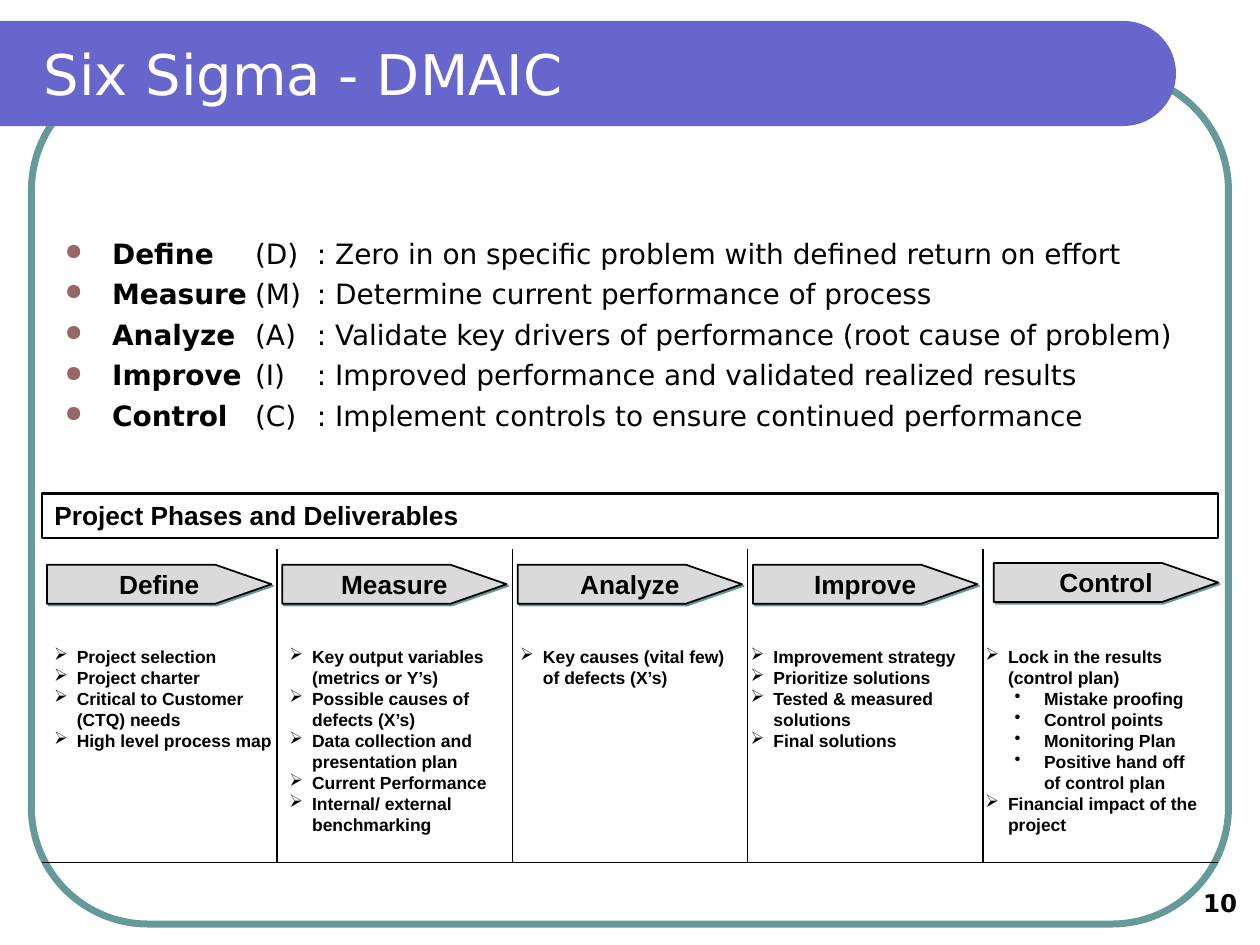
"""Build the Six Sigma DMAIC slide with its phases and deliverables."""
from math import cos, pi, sin

from lxml import etree
from pptx import Presentation
from pptx.dml.color import RGBColor
from pptx.enum.shapes import MSO_CONNECTOR, MSO_SHAPE
from pptx.enum.text import MSO_ANCHOR, PP_ALIGN
from pptx.oxml.ns import qn
from pptx.util import Pt

LINE = MSO_CONNECTOR.STRAIGHT
RECT, ROUND = MSO_SHAPE.RECTANGLE, MSO_SHAPE.ROUNDED_RECTANGLE
TOP, MID, LOW = MSO_ANCHOR.TOP, MSO_ANCHOR.MIDDLE, MSO_ANCHOR.BOTTOM
LEFT, MIDST, RIGHT = PP_ALIGN.LEFT, PP_ALIGN.CENTER, PP_ALIGN.RIGHT

COLORS = {"band": "6666CC", "teal": "669999", "dot": "996666",
          "grey": "DADADA", "ink": "000000", "white": "FFFFFF"}
SANS, ARIAL = "DejaVu Sans", "Arial"

TITLE = "Six Sigma - DMAIC"
HEAD = "Project Phases and Deliverables"
NUMBER = "10"
STEPS = [
    ("Define", "Zero in on specific problem with defined return on effort"),
    ("Measure", "Determine current performance of process"),
    ("Analyze", "Validate key drivers of performance (root cause of problem)"),
    ("Improve", "Improved performance and validated realized results"),
    ("Control", "Implement controls to ensure continued performance"),
]
PHASES = [
    ("Define", 26.9, 322.7, 23.8, 114, [
        (0, "Project selection"), (0, "Project charter"),
        (0, "Critical to Customer (CTQ) needs"),
        (0, "High level process map")]),
    ("Measure", 161.3, 322.7, 158.3, 151, [
        (0, "Key output variables (metrics or Y’s)"),
        (0, "Possible causes of defects (X’s)"),
        (0, "Data collection and presentation plan"),
        (0, "Current Performance"),
        (0, "Internal/ external benchmarking")]),
    ("Analyze", 295.8, 322.7, 290.2, 55, [
        (0, "Key causes (vital few) of defects (X’s)")]),
    ("Improve", 430.3, 322.7, 421.9, 127, [
        (0, "Improvement strategy"), (0, "Prioritize solutions"),
        (0, "Tested & measured solutions"), (0, "Final solutions")]),
    ("Control", 567.9, 321.7, 556, 139, [
        (0, "Lock in the results (control plan)"),
        (1, "Mistake proofing"), (1, "Control points"),
        (1, "Monitoring Plan"), (1, "Positive hand off of control plan"),
        (0, "Financial impact of the project")]),
]
MARKS = [("➢", 13, -13), ("•", 33.6, -16.8)]

prs = Presentation()
prs.slide_width, prs.slide_height = Pt(720), Pt(540)
slide = prs.slides.add_slide(prs.slide_layouts[6])
shapes = slide.shapes


def color(name):
    return RGBColor.from_string(COLORS[name])


def node(root, tag, **attrs):
    return etree.SubElement(root, qn("a:" + tag), attrs)


def paint(shape, fill=None, line=None, width=1):
    shape.shadow.inherit = False
    if fill:
        shape.fill.solid()
        shape.fill.fore_color.rgb = color(fill)
    else:
        shape.fill.background()
    if line:
        shape.line.color.rgb = color(line)
        shape.line.width = Pt(width)
    else:
        shape.line.fill.background()


def style(run, size, face, ink="ink", bold=True):
    font = run.font
    font.size, font.name, font.bold = Pt(size), face, bold
    font.color.rgb = color(ink)


def write(shape, text, size, face, anchor=TOP, align=LEFT, ink="ink",
          bold=True, wrap=True):
    frame = shape.text_frame
    frame.text = text
    frame.word_wrap, frame.vertical_anchor = wrap, anchor
    for para in frame.paragraphs:
        para.alignment = align
        for run in para.runs:
            style(run, size, face, ink, bold)
    return frame


def box(x, y, w, h):
    return shapes.add_textbox(Pt(x), Pt(y), Pt(w), Pt(h))


def bullet(para, mark, margin, indent, ink="ink", scale=100, tabs=()):
    props = para._p.get_or_add_pPr()
    props.set("marL", str(Pt(margin)))
    props.set("indent", str(Pt(indent)))
    node(node(props, "buClr"), "srgbClr", val=COLORS[ink])
    node(props, "buSzPct", val=str(scale * 1000))
    node(props, "buChar", char=mark)
    if tabs:
        stops = node(props, "tabLst")
        for tab in tabs:
            node(stops, "tab", pos=str(Pt(tab)), algn="l")


def outline(points):
    spots = [(Pt(x), Pt(y)) for x, y in points]
    build = shapes.build_freeform(*spots[0])
    build.add_line_segments(spots[1:], close=True)
    return build.convert_to_shape()


def rule(x1, y1, x2, y2, width):
    line = shapes.add_connector(LINE, Pt(x1), Pt(y1), Pt(x2), Pt(y2))
    line.line.color.rgb = color("ink")
    line.line.width = Pt(width)
    node(line._element.spPr, "effectLst")


def arrow(name, x, y):
    w, h, neck = 128.2, 22.3, 96.1
    shape = outline([(x, y), (x + neck, y), (x + w, y + h / 2),
                     (x + neck, y + h), (x, y + h)])
    paint(shape, "grey", "ink")
    glow = node(shape._element.spPr.find(qn("a:effectLst")), "outerShdw",
                dist=str(Pt(1.4)), dir="2700000", algn="ctr", rotWithShape="0")
    node(glow, "srgbClr", val=COLORS["teal"])
    write(shape, name, 15, ARIAL, MID, MIDST, wrap=False)


def listing(items, x, h):
    frame = write(box(x, 353.5, 139.7, h), "\n".join(t for _, t in items),
                  10, ARIAL)
    frame.margin_top = Pt(15.6)
    for para, (level, _) in zip(frame.paragraphs, items):
        para.level = level
        bullet(para, *MARKS[level])


def steps():
    frame = box(30, 84, 666, 402).text_frame
    frame.word_wrap, frame.margin_top = True, Pt(51)
    for i, (name, text) in enumerate(STEPS):
        para = frame.add_paragraph() if i else frame.paragraphs[0]
        bullet(para, "●", 27, -27, "dot", 80, (108.7, 144))
        if i:
            para.space_before = Pt(4)
        parts = [(name + "\t", True), (f"({name[0]})\t: {text}", False)]
        for part, bold in parts:
            run = para.add_run()
            run.text = part
            style(run, 16, SANS, bold=bold)


border = shapes.add_shape(ROUND, Pt(18), Pt(42), Pt(684), Pt(486))
border.adjustments[0] = 0.137
paint(border, line="teal", width=4)

arc = [(642 + 30 * sin(k * pi / 40), 42 - 30 * cos(k * pi / 40))
       for k in range(41)]
paint(outline([(0, 12)] + arc + [(0, 72)]), "band")
write(box(18, 12, 631.5, 60), TITLE, 32, SANS, MID, ink="white", bold=False)
steps()
write(box(546, 492, 168, 36), NUMBER, 14, SANS, LOW, RIGHT)

for i, (name, x, y, left, high, items) in enumerate(PHASES):
    if i:
        edge = 24 + 134.4 * i
        rule(edge, 313.5, edge, 493, 1)
    arrow(name, x, y)
    listing(items, left, high)
rule(24, 493, 696, 493, 0.75)

head = shapes.add_shape(RECT, Pt(24), Pt(282), Pt(672), Pt(25.5))
paint(head, line="ink", width=1.5)
write(head, HEAD, 15, ARIAL)

prs.save("out.pptx")
